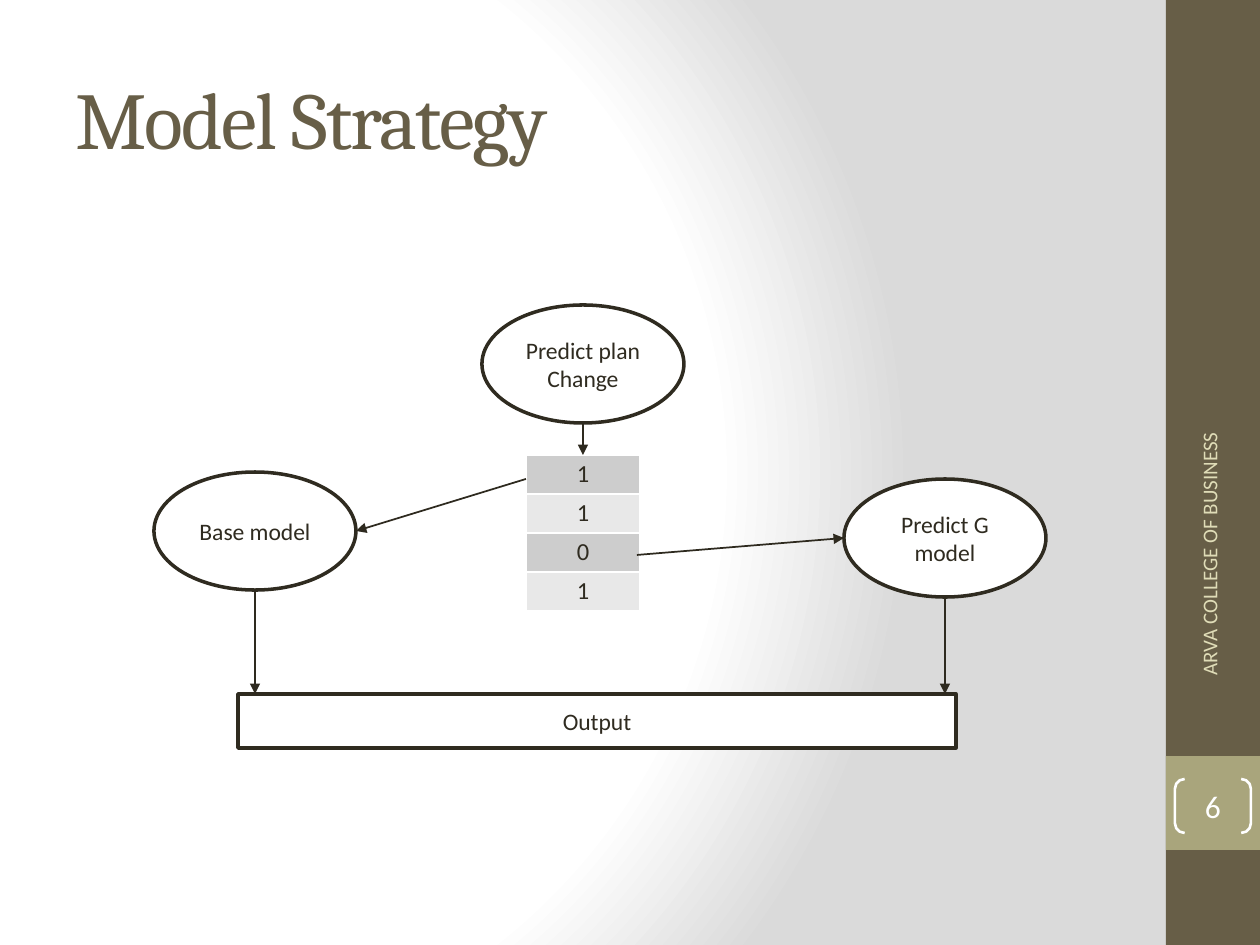
from lxml.etree import SubElement
from pptx import Presentation
from pptx.dml.color import RGBColor
from pptx.enum.shapes import MSO_CONNECTOR, MSO_SHAPE
from pptx.enum.text import MSO_ANCHOR, PP_ALIGN
from pptx.oxml import parse_xml
from pptx.oxml.ns import nsdecls, qn
from pptx.util import Pt

PX = 914400 // 126

BROWN = RGBColor(0x67, 0x5E, 0x47)
OLIVE = RGBColor(0xA9, 0xA5, 0x7C)
CREAM = RGBColor(0xDF, 0xDC, 0xB7)
DARK = RGBColor(0x2F, 0x2B, 0x20)
ARROW = RGBColor(0x2E, 0x2A, 0x1F)
WHITE = RGBColor(0xFF, 0xFF, 0xFF)
ROW_FILLS = (RGBColor(0xCD, 0xCD, 0xCD), RGBColor(0xE8, 0xE8, 0xE8))
BACKGROUND_STOPS = ((0, "FFFFFF"), (75, "FFFFFF"), (100, "DADADA"))

# Content: left, top, width, height in pixels
TITLE = "Model Strategy"
FOOTER = "ARVA COLLEGE OF BUSINESS"
PAGE_NUMBER = "6"
PREDICTIONS = ("1", "1", "0", "1")
TABLE_BOX = (526, 455, 114, 156)
SIDE_BANDS = (((1166, 0, 94, 945), BROWN), ((1166, 756, 94, 94), OLIVE))
OVAL_SIZE = (202, 118)
NODES = (
    ("Base model", MSO_SHAPE.OVAL, (154, 472, *OVAL_SIZE)),
    ("Predict G model", MSO_SHAPE.OVAL, (844, 479, *OVAL_SIZE)),
    ("Predict plan Change", MSO_SHAPE.OVAL, (482, 305, *OVAL_SIZE)),
    ("Output", MSO_SHAPE.RECTANGLE, (238, 694, 718, 54)),
)
ARROWS = (
    (583, 423, 583, 455),
    (526, 479, 356, 531),
    (637, 555, 844, 538),
    (255, 590, 255, 694),
    (945, 597, 945, 694),
)


def scaled(lengths):
    return [length * PX for length in lengths]


def write(frame, text, size, color, align=PP_ALIGN.CENTER, font="Calibri"):
    frame.word_wrap = True
    frame.vertical_anchor = MSO_ANCHOR.MIDDLE
    return write_span(frame.paragraphs[0], text, size, color, align, font)


def write_span(para, text, size, color, align=PP_ALIGN.CENTER, font="Calibri"):
    para.alignment = align
    span = para.add_run()
    span.text = text
    span.font.size = Pt(size)
    span.font.name = font
    span.font.color.rgb = color
    return span


def add_box(kind, box, fill=None, line=None, width=2):
    shape = page.shapes.add_shape(kind, *scaled(box))
    shape.shadow.inherit = False
    if fill is None:
        shape.fill.background()
    else:
        shape.fill.solid()
        shape.fill.fore_color.rgb = fill
    if line is None:
        shape.line.fill.background()
    else:
        shape.line.color.rgb = line
        shape.line.width = Pt(width)
    return shape


def add_arrow(ends):
    arrow = page.shapes.add_connector(MSO_CONNECTOR.STRAIGHT, *scaled(ends))
    arrow.line.color.rgb = ARROW
    arrow.line.width = Pt(1)
    SubElement(arrow.line._get_or_add_ln(), qn("a:tailEnd"), type="triangle")
    SubElement(arrow._element.spPr, qn("a:effectLst"))


def add_borders(cell):
    for index, side in enumerate("LRTB"):
        border = parse_xml(
            f'<a:ln{side} {nsdecls("a")} w="12700"><a:solidFill>'
            f'<a:srgbClr val="{WHITE}"/></a:solidFill></a:ln{side}>')
        cell._tc.get_or_add_tcPr().insert(index, border)


deck = Presentation()
deck.slide_width, deck.slide_height = scaled((1260, 945))
page = deck.slides.add_slide(deck.slide_layouts[6])

# Radial background
page.background.fill.solid()
solid = page.background._cSld.find(".//" + qn("a:solidFill"))
stops = "".join(
    f'<a:gs pos="{at * 1000}"><a:srgbClr val="{color}"/></a:gs>'
    for at, color in BACKGROUND_STOPS)
solid.getparent().replace(solid, parse_xml(
    f'<a:gradFill {nsdecls("a")} rotWithShape="1"><a:gsLst>{stops}</a:gsLst>'
    '<a:path path="circle"><a:fillToRect l="20000" t="50000" r="100000" '
    'b="50000"/></a:path></a:gradFill>'))

# Side bands and title
for box, color in SIDE_BANDS:
    add_box(MSO_SHAPE.RECTANGLE, box, color)
title = page.shapes.add_textbox(*scaled((63, 38, 1050, 158)))
span = write(title.text_frame, TITLE, 46, BROWN, PP_ALIGN.LEFT, "Cambria")
span.font._element.set("spc", "-100")

# Prediction table
table = page.shapes.add_table(len(PREDICTIONS), 1, *scaled(TABLE_BOX)).table
for index, value in enumerate(PREDICTIONS):
    cell = table.cell(index, 0)
    cell.margin_left = cell.margin_right = 9 * PX
    cell.margin_top = cell.margin_bottom = 4 * PX
    cell.fill.solid()
    cell.fill.fore_color.rgb = ROW_FILLS[index % 2]
    add_borders(cell)
    write_span(cell.text_frame.paragraphs[0], value, 14, DARK)

# Flow diagram
for text, kind, box in NODES:
    write(add_box(kind, box, WHITE, DARK).text_frame, text, 13.5, DARK)
for ends in ARROWS:
    add_arrow(ends)

# Footer and page number
footer = page.shapes.add_textbox(*scaled((1046, 558, 326, 50)))
footer.rotation = 270
write(footer.text_frame, FOOTER, 12, CREAM, PP_ALIGN.RIGHT)
bracket = add_box(MSO_SHAPE.DOUBLE_BRACKET, (1175, 779, 76, 54), None, WHITE, 1.5)
bracket.adjustments[0] = 0.18
frame = bracket.text_frame
frame.margin_left = frame.margin_right = frame.margin_top = frame.margin_bottom = 0
write(frame, PAGE_NUMBER, 18, WHITE)

deck.save("out.pptx")
